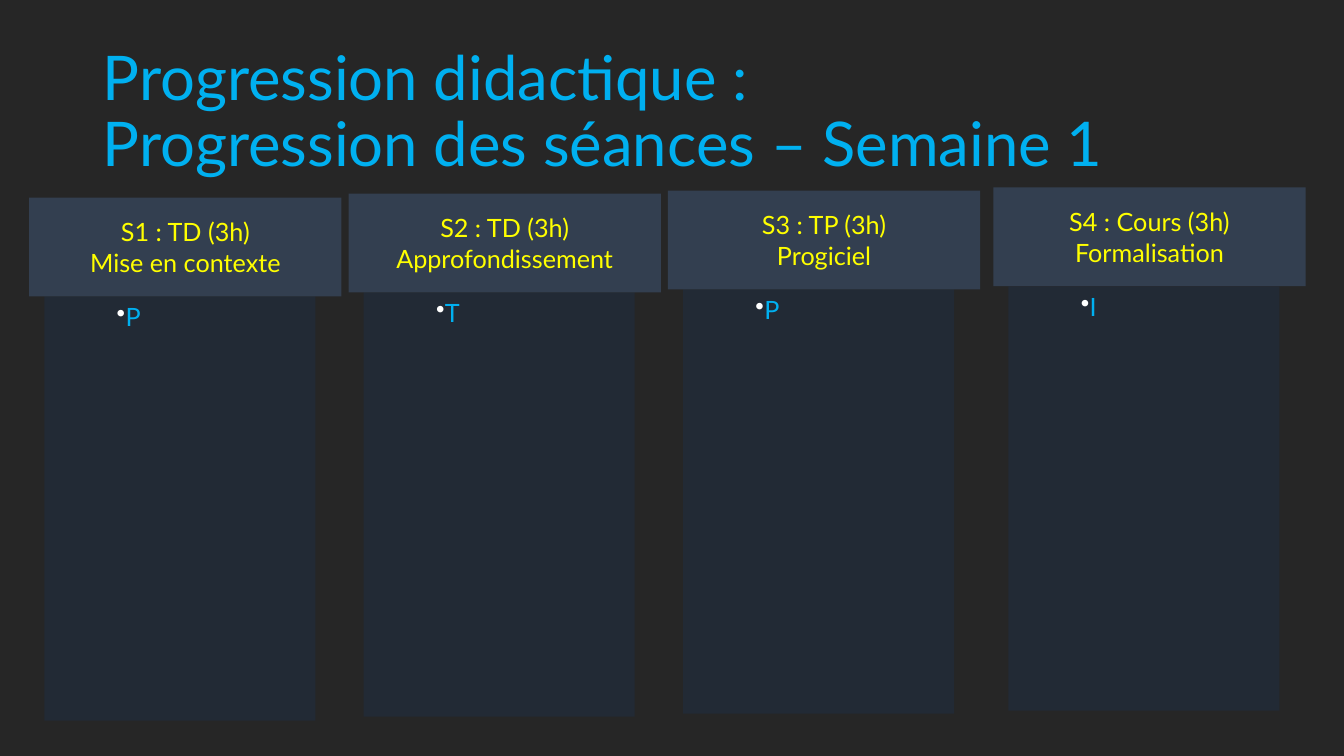
from pptx import Presentation
from pptx.dml.color import RGBColor
from pptx.enum.shapes import MSO_SHAPE as Shape
from pptx.enum.text import MSO_ANCHOR as Anchor, MSO_AUTO_SIZE as AutoSize, PP_ALIGN as Align
from pptx.oxml import parse_xml
from pptx.oxml.ns import nsdecls
from pptx.util import Inches, Pt

BACKGROUND, PANEL, HEADER = "262626", "222A35", "333F50"
BLUE, YELLOW, WHITE = "00B0F0", "FFFF00", "FFFFFF"
HEADER_WIDTH, HEADER_HEIGHT = 3.1, 0.98
PANEL_WIDTH, PANEL_HEIGHT, PANEL_OFFSET = 2.69, 4.21, 0.15

TITLE = ["Progression didactique : ", "Progression des séances – Semaine 1"]
# Header left, header top, header lines, list item
SESSIONS = [
    (0.29, 1.96, ["S1 : TD (3h)", "Mise en contexte"], "P"),
    (3.46, 1.92, ["S2 : TD (3h)", "Approfondissement"], "T"),
    (6.63, 1.89, ["S3 : TP (3h)", "Progiciel"], "P"),
    (9.86, 1.86, ["S4 : Cours (3h)", "Formalisation"], "I"),
]


def color(value):
    return RGBColor.from_string(value)


def apply(target, values):
    for name, value in values.items():
        setattr(target, name, value)


class SlideBuilder:
    def __init__(self, deck, font="Lato"):
        self.page = deck.slides.add_slide(deck.slide_layouts[5])
        self.font = font
        fill = self.page.background.fill
        fill.solid()
        fill.fore_color.rgb = color(BACKGROUND)

    def add_span(self, para, text, size, ink):
        span = para.add_run()
        span.text = text
        apply(span.font, {"name": self.font, "size": Pt(size)})
        span.font.color.rgb = color(ink)

    def title(self, lines, left, top, width, height):
        box = self.page.shapes.title
        apply(box, {"left": Inches(left), "top": Inches(top),
                    "width": Inches(width), "height": Inches(height)})
        apply(box.text_frame, {"word_wrap": True, "auto_size": AutoSize.NONE,
                               "vertical_anchor": Anchor.MIDDLE})
        para = box.text_frame.paragraphs[0]
        apply(para, {"alignment": Align.LEFT, "line_spacing": 0.9})
        for index, line in enumerate(lines):
            if index:
                para.add_line_break()
            self.add_span(para, line, 44, BLUE)

    def rectangle(self, left, top, width, height, fill, anchor):
        box = self.page.shapes.add_shape(
            Shape.RECTANGLE, Inches(left), Inches(top), Inches(width), Inches(height))
        box.shadow.inherit = False
        box.fill.solid()
        box.fill.fore_color.rgb = color(fill)
        box.line.fill.background()
        apply(box.text_frame, {"word_wrap": True, "vertical_anchor": anchor})
        return box.text_frame

    def header(self, lines, left, top):
        frame = self.rectangle(left, top, HEADER_WIDTH, HEADER_HEIGHT, HEADER, Anchor.MIDDLE)
        for index, line in enumerate(lines):
            para = frame.add_paragraph() if index else frame.paragraphs[0]
            para.alignment = Align.CENTER
            self.add_span(para, line, 18, YELLOW)

    def panel(self, item, left, top):
        frame = self.rectangle(left, top, PANEL_WIDTH, PANEL_HEIGHT, PANEL, Anchor.TOP)
        para = frame.paragraphs[0]
        para.alignment = Align.LEFT
        self.bullet(para)
        self.add_span(para, item, 18, BLUE)

    def bullet(self, para, indent=0.31):
        properties = para._p.get_or_add_pPr()
        for name in ("marL", "indent"):
            properties.set(name, str(Inches(indent)))
        for tag in (f'<a:buClr {nsdecls("a")}><a:srgbClr val="{WHITE}"/></a:buClr>',
                    f'<a:buChar {nsdecls("a")} char="•"/>'):
            properties.append(parse_xml(tag))


def main():
    deck = Presentation()
    apply(deck, {"slide_width": Inches(13.34), "slide_height": Inches(7.5)})
    slide = SlideBuilder(deck)
    slide.title(TITLE, 0.92, 0.4, 11.5, 1.45)
    for left, top, lines, item in SESSIONS:
        slide.panel(item, left + PANEL_OFFSET, top + HEADER_HEIGHT)
        slide.header(lines, left, top)
    deck.save("out.pptx")


if __name__ == "__main__":
    main()
